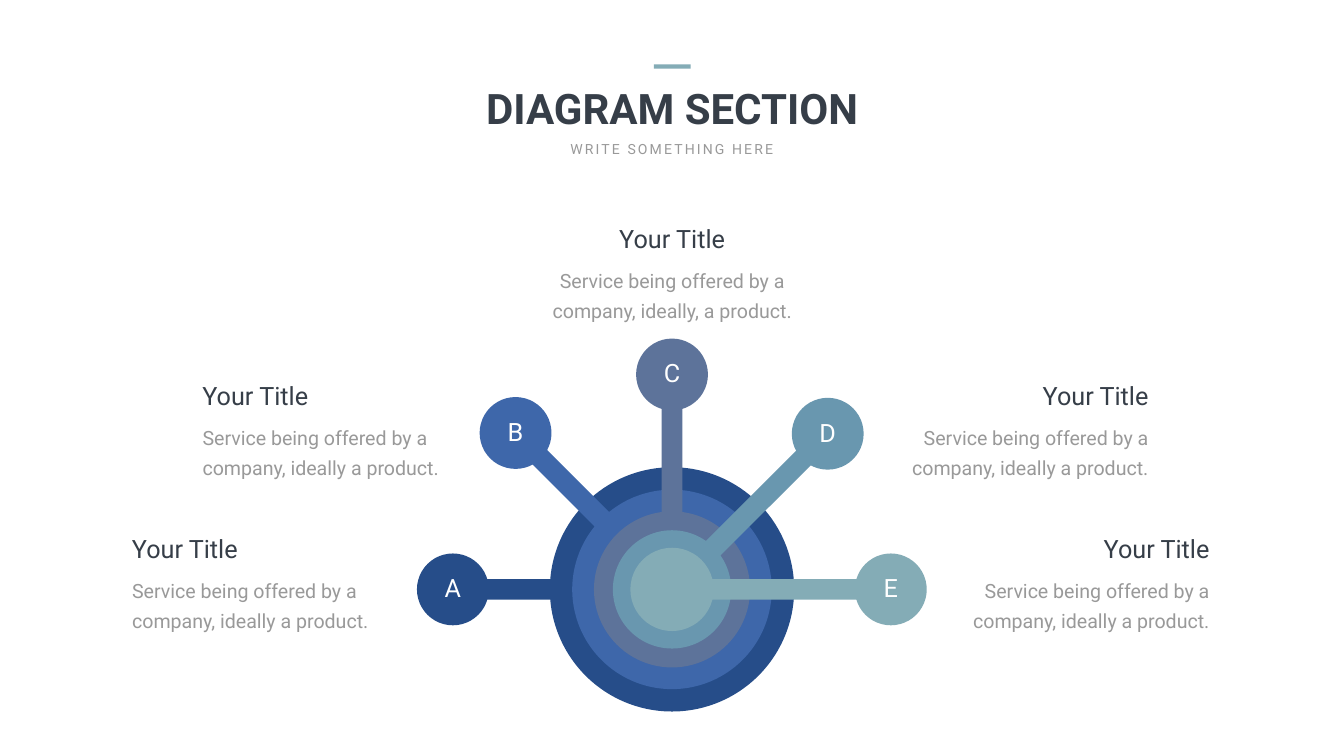
import math

import lxml.etree
import pptx
import pptx.dml.color
import pptx.enum.shapes
import pptx.enum.text
import pptx.oxml.ns
import pptx.util

Pt = pptx.util.Pt
Shape = pptx.enum.shapes.MSO_SHAPE
Align = pptx.enum.text.PP_ALIGN
Anchor = pptx.enum.text.MSO_ANCHOR
qn = pptx.oxml.ns.qn

FONT = "Roboto"
COLORS = {
    "dark": "363E48", "gray": "999999", "white": "FFFFFF",
    "A": "264D89", "B": "3E67AA", "C": "5D739A", "D": "6997AF", "E": "84ACB6",
}
SHARE = {Align.LEFT: 0, Align.CENTER: 0.5, Align.RIGHT: 1}
BODY = "Service being offered by a company, ideally a product."

# letter, ring radius, arm angle in degrees, distance of the knob
SPOKES = [
    ("A", 174.5, 180, 313),
    ("B", 142.5, 135, 316),
    ("C", 111.5, 90, 307),
    ("D", 84.5, 45, 314.5),
    ("E", 59.5, 0, 312.5),
]
# left, top, width, alignment, body
NOTES = [
    (272, 539.5, 392, Align.LEFT, BODY),
    (1254.4, 539.5, 403, Align.RIGHT, BODY),
    (766, 315.8, 388, Align.CENTER, BODY.replace("ideally", "ideally,")),
    (171.4, 758, 392, Align.LEFT, BODY),
    (1341.5, 758, 403, Align.RIGHT, BODY),
]


def color(name):
    return pptx.dml.color.RGBColor.from_string(COLORS[name])


def paint(shape, name):
    shape.shadow.inherit = False
    shape.fill.solid()
    shape.fill.fore_color.rgb = color(name)
    shape.line.fill.background()


def write(shape, text, size, name, align, bold=False, wrap=True):
    """Fill a shape with one styled paragraph and return the paragraph."""
    frame = shape.text_frame
    frame.text = text
    frame.word_wrap = wrap
    para = frame.paragraphs[0]
    para.alignment = align
    font = para.runs[0].font
    font.name, font.size, font.bold = FONT, Pt(size), bold
    font.color.rgb = color(name)
    return para


def add_box(slide, left, top, width, height):
    return slide.shapes.add_textbox(Pt(left), Pt(top), Pt(width), Pt(height))


def add_head(slide, left, top, width):
    bar = slide.shapes.add_shape(
        Shape.RECTANGLE, Pt(left + width / 2 - 26), Pt(top), Pt(52.5), Pt(6))
    paint(bar, "E")

    title = slide.shapes.title
    title.left, title.top = Pt(left), Pt(top + 22)
    title.width, title.height = Pt(width), Pt(80)
    write(title, "DIAGRAM SECTION", 60, "dark", Align.CENTER, bold=True)
    title.text_frame.auto_size = pptx.enum.text.MSO_AUTO_SIZE.NONE
    title.text_frame.vertical_anchor = Anchor.MIDDLE

    sub = add_box(slide, left + width / 2 - 157, top + 105.5, 313, 32)
    para = write(sub, "WRITE SOMETHING HERE", 20, "gray", Align.CENTER, wrap=False)
    para.runs[0]._r.get_or_add_rPr().set("spc", "300")


def bend(shape, count, radius, start, sweep):
    """Replace the first straight segments of an outline by one arc."""
    lines = list(shape._element.iter(qn("a:lnTo")))[:count]
    arc = lxml.etree.Element(qn("a:arcTo"))
    for key, value in (("wR", Pt(radius)), ("hR", Pt(radius)),
                       ("stAng", round(start * 60000)),
                       ("swAng", round(sweep * 60000))):
        arc.set(key, str(int(value)))
    lines[0].addprevious(arc)
    for line in lines:
        line.getparent().remove(line)


def add_spoke(slide, x, y, letter, radius, angle, reach):
    """Draw a disc and its arm as one outline, then the knob at the arm's end."""
    half, knob = 14.7, 51.3
    turn = math.radians(angle)
    cos, sin = math.cos(turn), math.sin(turn)

    def spot(along, side):
        return (Pt(x + along * cos - side * sin),
                Pt(y - along * sin - side * cos))

    def rim(degrees):
        rad = math.radians(degrees)
        return spot(radius * math.cos(rad), radius * math.sin(rad))

    gap = math.degrees(math.asin(half / radius))
    # The disc's outermost points fix the size of the outline.
    turns = [a for a in range(45, 360, 45) if (angle + a) % 90 == 0]
    dots = [rim(a) for a in [*turns, 360 - gap]]
    build = slide.shapes.build_freeform(*rim(gap), scale=1.0)
    build.add_line_segments(
        [*dots, spot(reach, -half), spot(reach, half)], close=True)
    ring = build.convert_to_shape()
    bend(ring, len(dots), radius, (-angle - gap) % 360, 2 * gap - 360)
    paint(ring, letter)

    left, top = x + reach * cos - knob, y - reach * sin - knob
    disc = slide.shapes.add_shape(
        Shape.OVAL, Pt(left), Pt(top), Pt(2 * knob), Pt(2 * knob))
    paint(disc, letter)
    return left + knob, top + knob


def add_wheel(slide, x, y):
    spots = [add_spoke(slide, x, y, *spoke) for spoke in SPOKES]
    for (left, top), spoke in zip(spots, SPOKES):
        label = add_box(slide, left - 19, top - 27.5, 38, 51)
        write(label, spoke[0], 36, "white", Align.CENTER, wrap=False)


def add_note(slide, left, top, width, align, text):
    shift = 10 + (width - 192) * SHARE[align]
    head = add_box(slide, left + shift, top, 172, 51)
    write(head, "Your Title", 36, "dark", align, wrap=False)

    body = add_box(slide, left, top + 50.8, width, 100)
    frame = body.text_frame
    frame.margin_left = frame.margin_right = Pt(17.3)
    frame.margin_top = frame.margin_bottom = Pt(8.6)
    write(body, text, 28, "gray", align).line_spacing = Pt(43)


def main():
    deck = pptx.Presentation()
    deck.slide_width, deck.slide_height = Pt(1919.52), Pt(1080)
    slide = deck.slides.add_slide(deck.slide_layouts[5])
    add_head(slide, 589, 92, 742)
    add_wheel(slide, 959.8, 842)
    for note in NOTES:
        add_note(slide, *note)
    deck.save("out.pptx")


if __name__ == "__main__":
    main()
